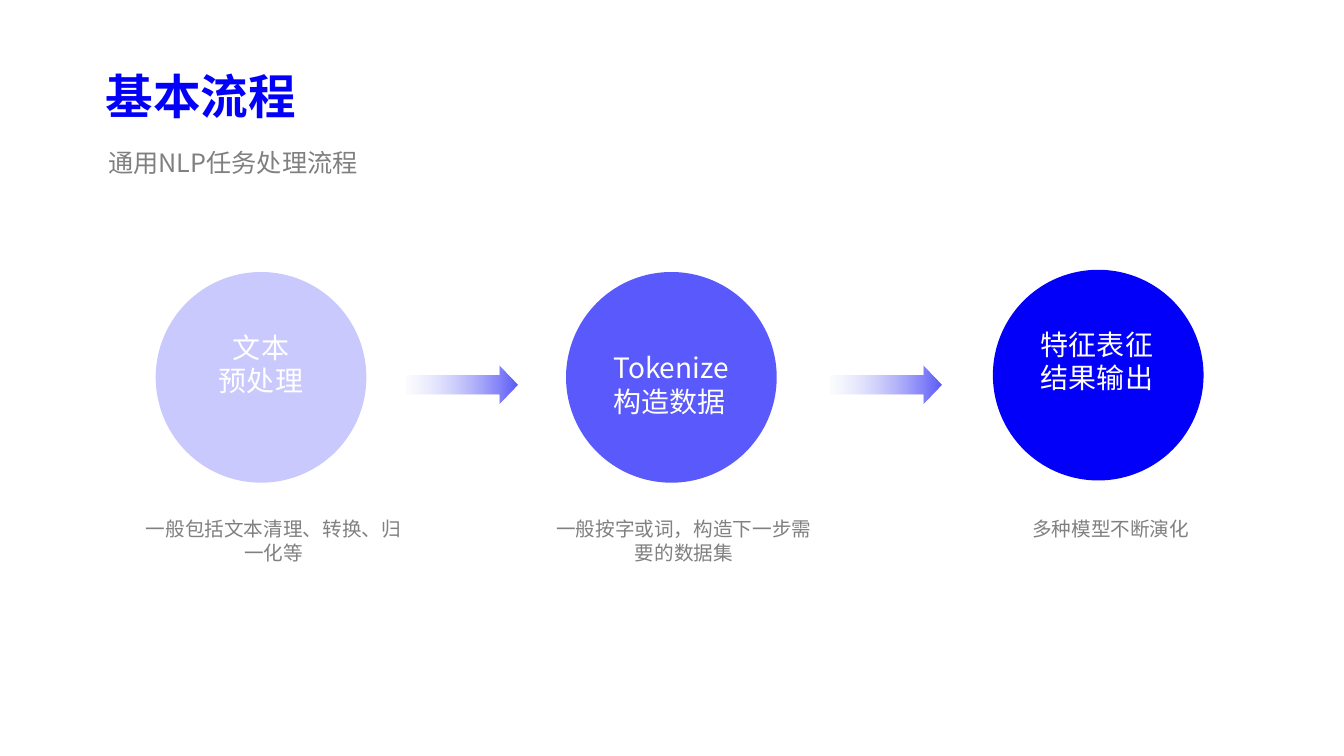
from dataclasses import dataclass
from lxml.etree import SubElement
from pptx import Presentation
from pptx.dml.color import RGBColor
from pptx.enum.shapes import MSO_SHAPE as Preset
from pptx.enum.text import MSO_ANCHOR as Anchor, MSO_AUTO_SIZE as AutoSize, PP_ALIGN as Align
from pptx.oxml.ns import qn
from pptx.util import Pt


@dataclass(frozen=True)
class Theme:
    font: str = "Noto Sans CJK SC"
    blue: str = "0300F9"
    gray: str = "808080"
    white: str = "FFFFFF"
    arrow_tail: str = "F6F8FC"
    arrow_tip: str = "5C5BF8"
    title: int = 34
    subtitle: int = 18
    label: int = 20
    caption: int = 14


THEME = Theme()
DIAMETER = 150.5

# Circle left and top, opacity in percent, label lines, label drop, label width, alignment, caption
STEPS = [
    (111.2, 194.3, 21, ["文本", "预处理"], 38, 84, Align.CENTER,
     "一般包括文本清理、转换、归一化等"),
    (404.3, 194.3, 65, ["Tokenize", "构造数据"], 52.5, 97, Align.LEFT,
     "一般按字或词，构造下一步需要的数据集"),
    (709.2, 192.7, 100, ["特征表征", "结果输出"], 37.5, 96, Align.LEFT,
     "多种模型不断演化"),
]
ARROW_LEFTS = [290.2, 593.3]


def set_opacity(fill_element, percent):
    color = next(fill_element.iter(qn("a:srgbClr")))
    SubElement(color, qn("a:alpha")).set("val", str(percent * 1000))


def write_lines(frame, lines, size, color, leading, align=Align.LEFT, bold=False):
    frame.vertical_anchor = Anchor.TOP
    for index, line in enumerate(lines):
        paragraph = frame.add_paragraph() if index else frame.paragraphs[0]
        paragraph.alignment = align
        paragraph.line_spacing = Pt(leading)
        paragraph.space_before = Pt(0)
        run = paragraph.add_run()
        run.text = line
        run.font.name = THEME.font
        run.font.size = Pt(size)
        run.font.bold = bold
        run.font.color.rgb = RGBColor.from_string(color)
        SubElement(run.font._element, qn("a:ea")).set("typeface", THEME.font)


def add_text(shapes, left, top, width, height, wrap=True):
    frame = shapes.add_textbox(Pt(left), Pt(top), Pt(width), Pt(height)).text_frame
    frame.word_wrap = wrap
    frame.auto_size = AutoSize.SHAPE_TO_FIT_TEXT
    return frame


def add_title(slide, text):
    title = slide.shapes.title
    title.left, title.top, title.width, title.height = Pt(68.4), Pt(23.8), Pt(690.5), Pt(64.8)
    title.text_frame.auto_size = AutoSize.NONE
    write_lines(title.text_frame, [text], THEME.title, THEME.blue, 61, bold=True)


def add_subtitle(slide, text):
    frame = add_text(slide.shapes, 77.3, 95.8, 419, 33.8)
    frame.margin_left, frame.margin_right = Pt(0), Pt(17.3)
    frame.margin_top = frame.margin_bottom = Pt(2.9)
    write_lines(frame, [text], THEME.subtitle, THEME.gray, 28)


def add_step(slide, left, top, opacity, label, drop, label_width, align, caption):
    step = slide.shapes.add_group_shape().shapes
    circle = step.add_shape(Preset.OVAL, Pt(left), Pt(top), Pt(DIAMETER), Pt(DIAMETER))
    circle.shadow.inherit = False
    circle.line.fill.background()
    circle.fill.solid()
    circle.fill.fore_color.rgb = RGBColor.from_string(THEME.blue)
    if opacity < 100:
        set_opacity(circle._element.spPr, opacity)

    # Label centred across the circle, caption below it
    label_left = left + (DIAMETER - label_width) / 2
    label_frame = add_text(step, label_left, top + drop, label_width, 55.4, wrap=False)
    write_lines(label_frame, label, THEME.label, THEME.white, 24, align)
    caption_frame = add_text(step, left - 14.4, 365.8, 197.3, 41)
    write_lines(caption_frame, [caption], THEME.caption, THEME.gray, 16.8, Align.CENTER)


def add_arrow(slide, left):
    arrow = slide.shapes.add_shape(Preset.RIGHT_ARROW, Pt(left), Pt(261), Pt(79.4), Pt(27))
    arrow.shadow.inherit = False
    arrow.line.fill.background()
    arrow.fill.gradient()
    arrow.fill.gradient_angle = 0
    tail, tip = arrow.fill.gradient_stops
    for stop, color, position in ((tail, THEME.arrow_tail, 0), (tip, THEME.arrow_tip, 1)):
        stop.color.rgb = RGBColor.from_string(color)
        stop.position = position
    set_opacity(arrow._element.spPr, 39)


def main():
    deck = Presentation()
    deck.slide_width, deck.slide_height = Pt(960), Pt(540)
    slide = deck.slides.add_slide(deck.slide_layouts[5])

    # Heading
    add_title(slide, "基本流程")
    add_subtitle(slide, "通用NLP任务处理流程")

    # Process
    for left in ARROW_LEFTS:
        add_arrow(slide, left)
    for step in STEPS:
        add_step(slide, *step)

    deck.save("out.pptx")


if __name__ == "__main__":
    main()
